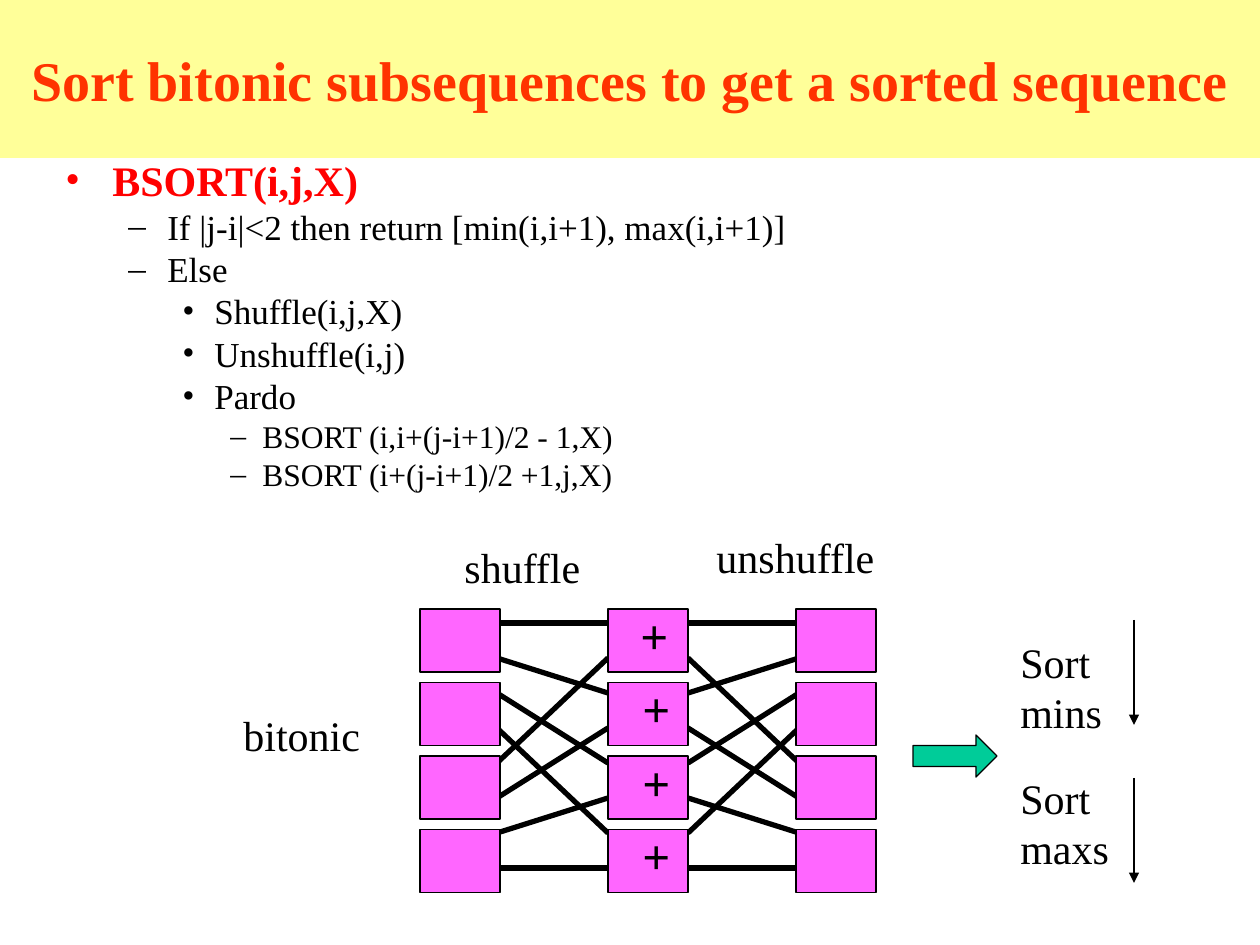
from lxml.etree import SubElement
from pptx import Presentation
from pptx.dml.color import RGBColor
from pptx.enum.shapes import MSO_CONNECTOR as CONN, MSO_SHAPE as SHAPE
from pptx.enum.text import MSO_ANCHOR as ANCHOR, MSO_AUTO_SIZE as AUTO, PP_ALIGN as ALIGN
from pptx.oxml.ns import qn
from pptx.util import Emu, Pt

FONT = "Times New Roman"
BLACK, RED, PINK = "000000", "FF0000", "FF66FF"
LEVELS = [
    dict(size=24, before=6, bullet="•", margin=47, hang=47, color=RED, bold=True),
    dict(size=20, before=5, bullet="–", margin=102, hang=39),
    dict(size=20, before=5, bullet="•", margin=149, hang=32),
    dict(size=18, before=4.5, bullet="–", margin=197, hang=32),
]
STEPS = [
    (0, "BSORT(i,j,X)"),
    (1, "If |j-i|<2 then return [min(i,i+1), max(i,i+1)]"),
    (1, "Else"),
    (2, "Shuffle(i,j,X)"),
    (2, "Unshuffle(i,j)"),
    (2, "Pardo"),
    (3, "BSORT (i,i+(j-i+1)/2 - 1,X)"),
    (3, "BSORT (i+(j-i+1)/2 +1,j,X)"),
]


def px(n):
    """Turn pixels at 126 to the inch into EMU."""
    return Emu(round(n * 914400 / 126))


def rgb(color):
    """Turn a hex string into a colour."""
    return RGBColor.from_string(color)


def add_bullet(p, char, color, margin, hang):
    """Give a paragraph a coloured bullet and a hanging indent."""
    pPr = p._p.get_or_add_pPr()
    pPr.set("marL", str(px(margin)))
    pPr.set("indent", str(-px(hang)))
    clr = SubElement(pPr, qn("a:buClr"))
    SubElement(clr, qn("a:srgbClr"), val=color)
    SubElement(pPr, qn("a:buFont"), typeface=FONT)
    SubElement(pPr, qn("a:buChar"), char=char)


def write(tf, text, size=24, color=BLACK, bold=False, align=ALIGN.LEFT,
          level=0, before=0, spacing=None, bullet=None, margin=0, hang=0):
    """Write one paragraph, reusing the first one while it is empty."""
    first = not tf.paragraphs[0].runs
    p = tf.paragraphs[0] if first else tf.add_paragraph()
    p.alignment, p.level = align, level
    p.space_before = Pt(0 if first else before)
    if spacing:
        p.line_spacing = spacing
    if bullet:
        add_bullet(p, bullet, color, margin, hang)
    r = p.add_run()
    r.text = text
    f = r.font
    f.name, f.size, f.bold, f.color.rgb = FONT, Pt(size), bold, rgb(color)


def add_text(s, x, y, w, h, lines=(), **fmt):
    """Add a text box with one paragraph for each line."""
    tf = s.shapes.add_textbox(px(x), px(y), px(w), px(h)).text_frame
    tf.word_wrap = True
    for line in lines:
        write(tf, line, **fmt)
    return tf


def add_block(s, kind, x, y, w, h, fill):
    """Add a filled shape with a thin black outline."""
    sp = s.shapes.add_shape(kind, px(x), px(y), px(w), px(h))
    sp.shadow.inherit = False
    sp.fill.solid()
    sp.fill.fore_color.rgb = rgb(fill)
    sp.line.color.rgb = rgb(BLACK)
    sp.line.width = Pt(0.75)


def add_line(s, x1, y1, x2, y2, width, arrow=False):
    """Add a straight black line, with an arrowhead at its end if asked."""
    c = s.shapes.add_connector(CONN.STRAIGHT, px(x1), px(y1), px(x2), px(y2))
    c.line.color.rgb = rgb(BLACK)
    c.line.width = Pt(width)
    if arrow:
        SubElement(c.line._get_or_add_ln(), qn("a:tailEnd"), type="triangle")
    SubElement(c._element.spPr, qn("a:effectLst"))


def add_title(s, x, y, w, h):
    """Place the title on its yellow band."""
    sp = s.shapes.title
    sp.left, sp.top, sp.width, sp.height = px(x), px(y), px(w), px(h)
    sp.fill.solid()
    sp.fill.fore_color.rgb = rgb("FFFF99")
    tf = sp.text_frame
    tf.auto_size, tf.vertical_anchor, tf.word_wrap = AUTO.NONE, ANCHOR.MIDDLE, True
    write(tf, "Sort bitonic subsequences to get a sorted sequence",
          size=32, color="FF3300", bold=True, align=ALIGN.CENTER)


def add_algorithm(s, x, y, w, h):
    """Add the indented steps of the algorithm."""
    tf = add_text(s, x, y, w, h)
    for level, text in STEPS:
        write(tf, text, level=level, spacing=0.8, **LEVELS[level])


def add_network(s, x, y):
    """Add the shuffle and unshuffle network with its labels."""
    cell_w, cell_h, col_gap, row_gap, port_gap = 80, 63, 188, 73.5, 35
    left, mid, right = (x + col_gap * i for i in range(3))
    for i in range(8):
        outer = y + 14 + port_gap * i
        inner = y + 14 + port_gap * (2 * i if i < 4 else 2 * i - 7)
        add_line(s, left + cell_w - 3, outer, mid, inner, 3)
        add_line(s, right + 3, outer, mid + cell_w, inner, 3)
    for row in range(4):
        top = y + row_gap * row
        for col in (left, mid, right):
            add_block(s, SHAPE.RECTANGLE, col, top, cell_w, cell_h, PINK)
        add_text(s, mid + (20 if row == 0 else 22), top - 10, 58, 72, ["+"], size=28, bold=True)
    add_text(s, x - 189, y + 94, 156, 63, ["bitonic"])
    add_text(s, x + 32, y - 74, 156, 63, ["shuffle"])
    add_text(s, x + 284, y - 84, 198, 63, ["unshuffle"])


def add_results(s, x, y):
    """Add the block arrow and the two sorted halves."""
    add_block(s, SHAPE.RIGHT_ARROW, x, y + 115, 84, 42, "00CC99")
    for word, text_y, line_y in (("mins", 10, 0), ("maxs", 146, 158)):
        add_text(s, x + 95, y + text_y, 125, 113, ["Sort", word])
        add_line(s, x + 221, y + line_y, x + 221, y + line_y + 105, 0.75, arrow=True)


def main():
    """Build and save the slide."""
    prs = Presentation()
    prs.slide_width, prs.slide_height = px(1260), px(945)
    s = prs.slides.add_slide(prs.slide_layouts[5])
    add_title(s, 0, 0, 1260, 158)
    add_algorithm(s, 53, 158, 1144, 357)
    add_network(s, 420, 609)
    add_results(s, 913, 620)
    prs.save("out.pptx")


if __name__ == "__main__":
    main()
